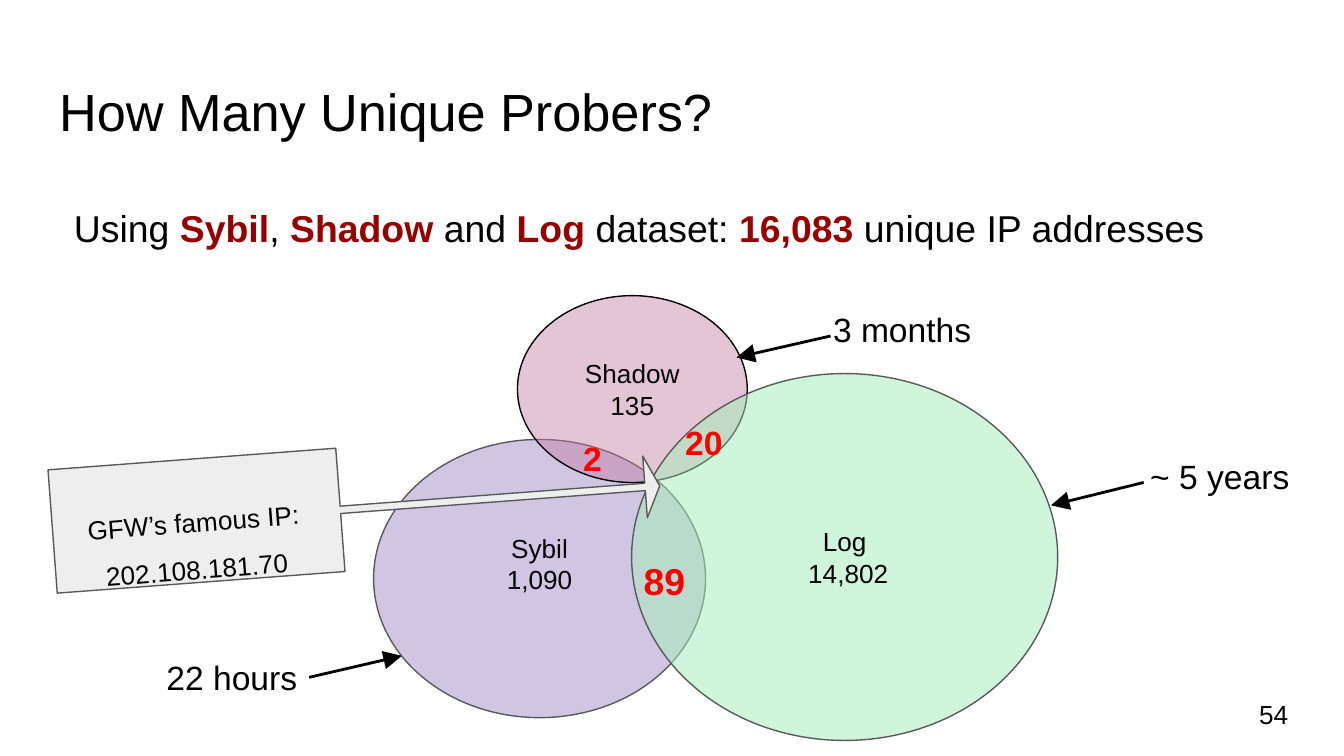
import pptx
import pptx.util
import pptx.dml.color
import pptx.enum.shapes
import pptx.enum.text
import pptx.oxml.ns
import lxml.etree

Inches, Pt = pptx.util.Inches, pptx.util.Pt
RGB = pptx.dml.color.RGBColor
SHAPE = pptx.enum.shapes.MSO_SHAPE
ALIGN = pptx.enum.text.PP_ALIGN
ANCHOR = pptx.enum.text.MSO_ANCHOR
qn = pptx.oxml.ns.qn

BLACK = RGB(0x00, 0x00, 0x00)
GREY = RGB(0x59, 0x59, 0x59)
PALE = RGB(0xEE, 0xEE, 0xEE)
CRIMSON = RGB(0x98, 0x00, 0x00)
RED = RGB(0xFF, 0x00, 0x00)
PURPLE = RGB(0x98, 0x7C, 0xC2)
PINK = RGB(0xC2, 0x7B, 0xA0)
GREEN = RGB(0xA5, 0xEE, 0xBA)


def place(sp, box):
    names = ("left", "top", "width", "height")
    set_attrs(sp, {n: Inches(v) for n, v in zip(names, box)})


def set_attrs(obj, values):
    for name, value in values.items():
        setattr(obj, name, value)


def add_run(p, text, size, color=BLACK, bold=False):
    r = p.add_run()
    r.text = text
    set_attrs(r.font, {"name": "Arial", "size": Pt(size), "bold": bold})
    r.font.color.rgb = color


def frame(sp, anchor=ANCHOR.TOP):
    tf = sp.text_frame
    margins = {f"margin_{side}": Inches(0.1) for side in ("left", "top", "right", "bottom")}
    set_attrs(tf, {**margins, "word_wrap": True, "vertical_anchor": anchor,
                   "auto_size": pptx.enum.text.MSO_AUTO_SIZE.NONE})
    return tf


def write_lines(tf, lines, size, **fmt):
    p = tf.paragraphs[0]
    set_attrs(p, fmt)
    for i, line in enumerate(lines):
        if i:
            p.add_line_break()
            lxml.etree.SubElement(p._p[-1], qn("a:rPr"), sz=str(size * 100))
        add_run(p, line, size)


def add_label(s, box, text, size, anchor=ANCHOR.TOP, **font):
    sp = s.shapes.add_textbox(*map(Inches, box))
    add_run(frame(sp, anchor).paragraphs[0], text, size, **font)


def add_shape(s, kind, box, fill, line=None, alpha=None):
    sp = s.shapes.add_shape(kind, *map(Inches, box))
    sp.shadow.inherit = False
    sp.fill.solid()
    sp.fill.fore_color.rgb = fill
    if alpha:
        clr = sp.fill._xPr.find(qn("a:solidFill"))[0]
        lxml.etree.SubElement(clr, qn("a:alpha"), val=str(alpha * 1000))
    if line is None:
        sp.line.fill.background()
    else:
        sp.line.color.rgb = line
        sp.line.width = Pt(0.75)
    return sp


def add_arrow(s, start, end):
    c = s.shapes.add_connector(pptx.enum.shapes.MSO_CONNECTOR.STRAIGHT,
                               *map(Inches, (*start, *end)))
    c.line.color.rgb = BLACK
    c.line.width = Pt(1.5)
    lxml.etree.SubElement(c.line._get_or_add_ln(), qn("a:tailEnd"),
                          type="triangle", w="lg", len="lg")
    lxml.etree.SubElement(c._element.spPr, qn("a:effectLst"))


def add_title(s, box):
    sp = s.shapes.title
    place(sp, box)
    write_lines(frame(sp), ["How Many Unique Probers?"], 28, alignment=ALIGN.LEFT)


def add_statement(s, box):
    sp = s.placeholders[1]
    place(sp, box)
    p = frame(sp).paragraphs[0]
    pPr = p._p.get_or_add_pPr()
    pPr.set("marL", str(Inches(0.5)))
    pPr.set("indent", str(Inches(-0.39)))
    lxml.etree.SubElement(pPr, qn("a:buNone"))
    set_attrs(p, {"line_spacing": 1.5, "space_before": Pt(0), "space_after": Pt(16)})
    parts = ["Using ", "Sybil", ", ", "Shadow", " and ", "Log ", "dataset: ",
             "16,083 ", "unique IP addresses"]
    for i, text in enumerate(parts):
        key = i % 2 == 1
        add_run(p, text, 20, CRIMSON if key else BLACK, key)


def add_venn(s, box):
    x, y = box[:2]
    sets = [
        (("Sybil", "1,090"), (0, 1.07, 2.47, 2.07), PURPLE, GREY, 44, 0.32),
        (("Shadow", "135"), (1.07, 0, 1.71, 1.39), PINK, BLACK, 44, 0.1),
        (("Log", " 14,802"), (1.92, 0.58, 3.17, 2.73), GREEN, GREY, 53, 0.1),
    ]
    for lines, (dx, dy, w, h), fill, line, alpha, bottom in sets:
        sp = add_shape(s, SHAPE.OVAL, (x + dx, y + dy, w, h), fill, line, alpha)
        tf = frame(sp, ANCHOR.MIDDLE)
        tf.margin_bottom = Inches(bottom)
        write_lines(tf, lines, 14, alignment=ALIGN.CENTER)
    overlaps = [("2", 18, (1.46, 0.96, 0.37, 0.26)),
                ("89", 20, (1.91, 1.85, 0.66, 0.36)),
                ("20", 18, (2.22, 0.84, 0.57, 0.33))]
    for text, size, (dx, dy, w, h) in overlaps:
        add_label(s, (x + dx, y + dy, w, h), text, size, color=RED, bold=True)


def add_durations(s, box):
    x, y = box[:2]
    notes = [("22 hours", (0, 2.59, 1.26, 0.43), (1.16, 2.84), (1.85, 2.68)),
             ("3 months", (4.96, 0, 1.56, 0.51), (5.04, 0.3), (4.34, 0.46)),
             ("~ 5 years", (7.32, 1.09, 1.41, 0.51), (7.37, 1.39), (6.68, 1.56))]
    for text, (dx, dy, w, h), start, end in notes:
        add_label(s, (x + dx, y + dy, w, h), text, 18)
        add_arrow(s, *((x + px, y + py) for px, py in (start, end)))


def add_callout(s, box):
    x, y, w, h = box
    length, breadth = 4.53, 0.92
    sp = add_shape(s, SHAPE.UP_ARROW_CALLOUT,
                   (x + (w - breadth) / 2, y + (h - length) / 2, breadth, length),
                   PALE, GREY)
    sp.rotation = 85.7
    for i, value in enumerate((0.06, 0.25, 0.119, 0.474)):
        sp.adjustments[i] = value
    sp = add_shape(s, SHAPE.RECTANGLE, (x + 0.05, y + 0.23, 2, 0.71), PALE)
    sp.rotation = 355.5
    write_lines(frame(sp), ["GFW’s famous IP:", "202.108.181.70"], 14,
                alignment=ALIGN.CENTER, line_spacing=1.5, space_after=Pt(16))


def main():
    prs = pptx.Presentation()
    prs.slide_width = Inches(10)
    prs.slide_height = prs.slide_width * 9 // 16
    s = prs.slides.add_slide(prs.slide_layouts[1])
    add_title(s, (0.34, 0.49, 9.32, 0.63))
    add_statement(s, (0.34, 1.26, 9.32, 3.74))
    add_venn(s, (2.78, 2.2, 5.09, 3.31))
    add_callout(s, (0.39, 3.32, 4.52, 0.93))
    add_durations(s, (1.14, 2.2, 8.73, 3.02))
    add_label(s, (9.27, 5.1, 0.6, 0.43), "54", 14, ANCHOR.MIDDLE)
    prs.save("out.pptx")


if __name__ == "__main__":
    main()
